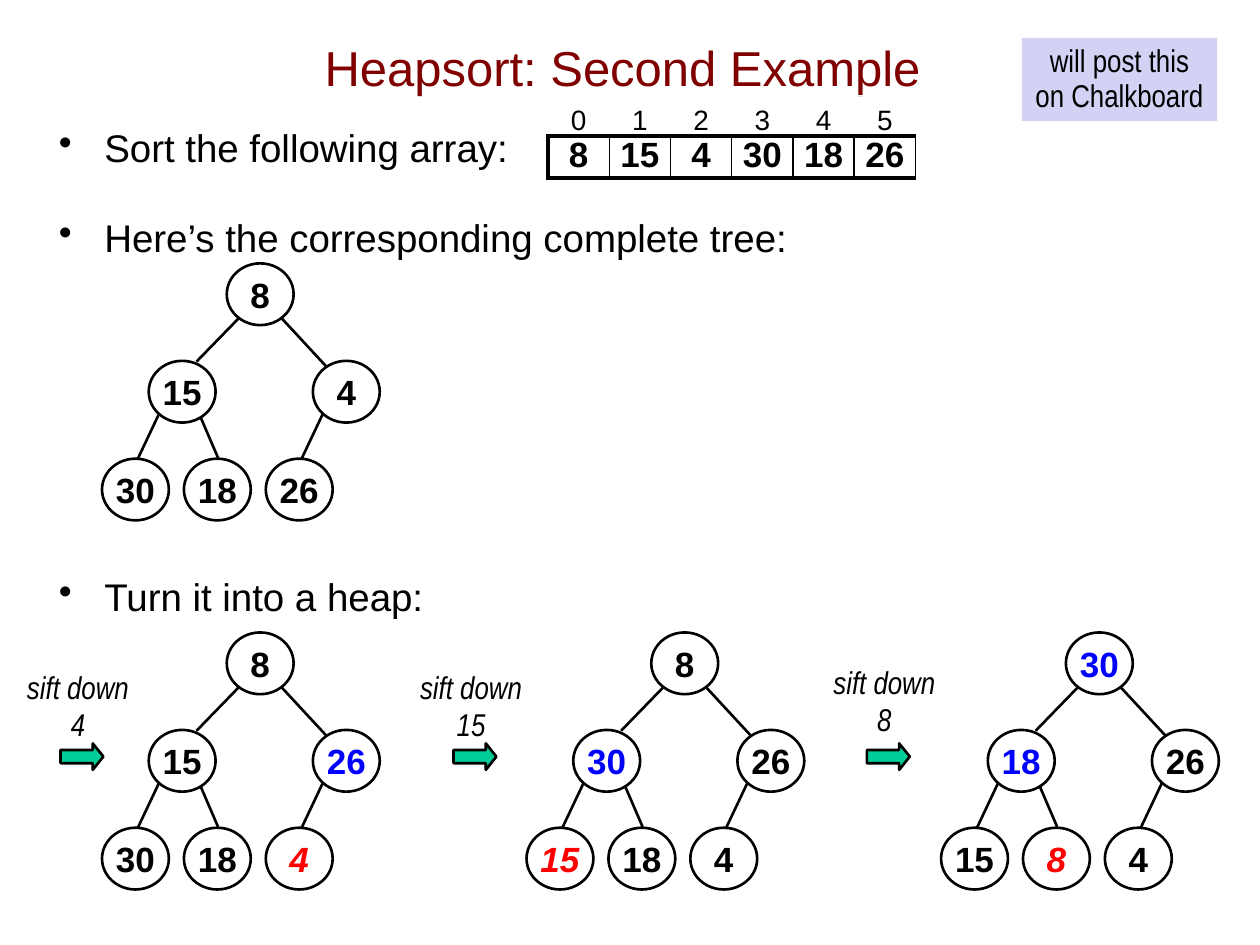
"""Build the slide of the second heapsort example."""
from lxml import etree
from pptx import Presentation
from pptx import util as u
from pptx.dml import color
from pptx.enum import shapes, text
from pptx.oxml import ns

Pt = u.Pt
BLACK = color.RGBColor(0x00, 0x00, 0x00)
MAROON = color.RGBColor(0x80, 0x00, 0x00)
BLUE = color.RGBColor(0x00, 0x00, 0xFF)
RED = color.RGBColor(0xFF, 0x00, 0x00)
GREEN = color.RGBColor(0x00, 0xCC, 0x99)
LILAC = color.RGBColor(0xD2, 0xD2, 0xF4)

TITLE = "Heapsort: Second Example"
NOTE = "will post this\non Chalkboard"
BULLETS = [
    ("Sort the following array:", 0),
    ("Here’s the corresponding complete tree:", 25),
    ("Turn it into a heap:", 178.7),
]
ARRAY = [8, 15, 4, 30, 18, 26]
TREES = [
    {"at": (129.6, 150.5), "keys": ARRAY},
    {"at": (129.6, 361.4), "keys": [8, 15, 26, 30, 18, 4], "raised": [2], "sunk": 5},
    {"at": (372.2, 361.4), "keys": [8, 30, 26, 15, 18, 4], "raised": [1], "sunk": 3},
    {"at": (609.1, 361.4), "keys": [30, 18, 26, 15, 8, 4], "raised": [0, 1], "sunk": 4},
]
STEPS = [("4", 34.6, 378), ("15", 259.2, 378), ("8", 495.4, 375.1)]

NODE_SIZE = (38.2, 35.3)
NODES = [(0, 0), (-44.6, 55.7), (49.2, 55.7), (-71.3, 111.6), (-24.5, 111.6), (22.3, 111.6)]
EDGES = [
    (6.5, 31.7, -17.3, 56.2),
    (31, 31, 56.9, 59),
    (-38.9, 86.4, -51.1, 112.2),
    (-15.1, 87.6, -5, 111.1),
    (54.7, 86.4, 42.5, 112.2),
]

TITLE_FONT = {"name": "Arial", "size": Pt(28)}
BODY_FONT = {"name": "Arial", "size": Pt(22)}
INDEX_FONT = {"name": "Arial", "size": Pt(16)}
KEY_FONT = {"name": "Arial", "size": Pt(20), "bold": True}
NOTE_FONT = {"name": "Arial Narrow", "size": Pt(18)}
STEP_FONT = {**NOTE_FONT, "italic": True}
NO_MARGINS = dict.fromkeys(("margin_left", "margin_top", "margin_right", "margin_bottom"), 0)
FIT = {"word_wrap": False, "auto_size": text.MSO_AUTO_SIZE.SHAPE_TO_FIT_TEXT}


def set_all(obj, values):
    for name, value in values.items():
        setattr(obj, name, value)


def write(p, words, font, rgb=BLACK, align=text.PP_ALIGN.CENTER):
    p.text = words
    p.alignment = align
    for r in p.runs:
        set_all(r.font, font)
        r.font.color.rgb = rgb


def outline(obj):
    obj.line.color.rgb = BLACK
    obj.line.width = Pt(1.5)


def add_shape(s, kind, box, fill=None):
    sp = s.shapes.add_shape(kind, *map(Pt, box))
    sp.shadow.inherit = False
    if fill is None:
        sp.fill.background()
    else:
        sp.fill.solid()
        sp.fill.fore_color.rgb = fill
    return sp


def add_box(s, box, words, font, rgb=BLACK, **frame):
    tf = s.shapes.add_textbox(*map(Pt, box)).text_frame
    set_all(tf, frame)
    write(tf.paragraphs[0], words, font, rgb)


def add_bullets(s):
    tf = s.shapes.add_textbox(Pt(26.6), Pt(67.5), Pt(693), Pt(440)).text_frame
    tf.word_wrap = True
    for i, (words, gap) in enumerate(BULLETS):
        p = tf.add_paragraph() if i else tf.paragraphs[0]
        pr = p._p.get_or_add_pPr()
        pr.set("marL", str(Pt(26)))
        pr.set("indent", str(Pt(-26)))
        etree.SubElement(pr, ns.qn("a:buChar")).set("char", "•")
        p.space_before = Pt(gap)
        write(p, words, BODY_FONT, align=text.PP_ALIGN.LEFT)


def add_tree(s, at, keys, raised=(), sunk=None):
    x, y = at
    for x1, y1, x2, y2 in EDGES:
        line = s.shapes.add_connector(
            shapes.MSO_CONNECTOR.STRAIGHT, *map(Pt, (x + x1, y + y1, x + x2, y + y2)))
        etree.SubElement(line._element.spPr, ns.qn("a:effectLst"))
        outline(line)
    for i, (key, (dx, dy)) in enumerate(zip(keys, NODES)):
        sp = add_shape(s, shapes.MSO_SHAPE.OVAL, (x + dx, y + dy, *NODE_SIZE))
        outline(sp)
        tf = sp.text_frame
        set_all(tf, {**NO_MARGINS, "vertical_anchor": text.MSO_ANCHOR.MIDDLE})
        rgb = RED if i == sunk else BLUE if i in raised else BLACK
        write(tf.paragraphs[0], str(key), {**KEY_FONT, "italic": i == sunk}, rgb)


def set_borders(cell, widths):
    pr = cell._tc.get_or_add_tcPr()
    for i, (side, width) in enumerate(widths.items()):
        ln = etree.Element(ns.qn("a:ln" + side), w=str(Pt(width)))
        fill = etree.SubElement(ln, ns.qn("a:solidFill"))
        etree.SubElement(fill, ns.qn("a:srgbClr"), val=str(BLACK))
        pr.insert(i, ln)


def add_array(s):
    n = len(ARRAY)
    table = s.shapes.add_table(2, n, Pt(313.2), Pt(54.7), Pt(35 * n), Pt(46.8)).table
    set_all(table, {"first_row": False, "horz_banding": False})
    for row, height in zip(table.rows, (23, 23.8)):
        row.height = Pt(height)
    for i, key in enumerate(ARRAY):
        table.columns[i].width = Pt(35)
        index, value = table.cell(0, i), table.cell(1, i)
        set_all(index, {"margin_bottom": 0, "vertical_anchor": text.MSO_ANCHOR.BOTTOM})
        set_all(value, NO_MARGINS)
        for cell, words, font in ((index, i, INDEX_FONT), (value, key, KEY_FONT)):
            cell.fill.background()
            write(cell.text_frame.paragraphs[0], str(words), font)
        set_borders(index, {"B": 2.25})
        set_borders(value, {"L": 1 if i else 2.25, "R": 1, "T": 2.25, "B": 2.25})


def add_note(s):
    sp = add_shape(s, shapes.MSO_SHAPE.RECTANGLE, (583.9, 21.6, 111.6, 47.5), LILAC)
    sp.line.fill.background()
    tf = sp.text_frame
    set_all(tf, {**FIT, "vertical_anchor": text.MSO_ANCHOR.TOP})
    write(tf.paragraphs[0], NOTE, NOTE_FONT)
    tf.paragraphs[0].line_spacing = Pt(20)


def main():
    prs = Presentation()
    set_all(prs, {"slide_width": Pt(720), "slide_height": Pt(540)})
    s = prs.slides.add_slide(prs.slide_layouts[6])
    add_box(s, (46.1, 5, 619.2, 67), TITLE, TITLE_FONT, MAROON,
            word_wrap=True, vertical_anchor=text.MSO_ANCHOR.MIDDLE)
    add_bullets(s)
    for tree in TREES:
        add_tree(s, **tree)
    for key, x, y in STEPS:
        sp = add_shape(s, shapes.MSO_SHAPE.RIGHT_ARROW, (x, 424.8, 24.5, 15.1), GREEN)
        sp.adjustments[1] = 0.4
        outline(sp)
        add_box(s, (x - 26.4, y, 72.7, 50.4), f"sift down\n{key}", STEP_FONT, **FIT)
    add_array(s)
    add_note(s)
    prs.save("out.pptx")


if __name__ == "__main__":
    main()
